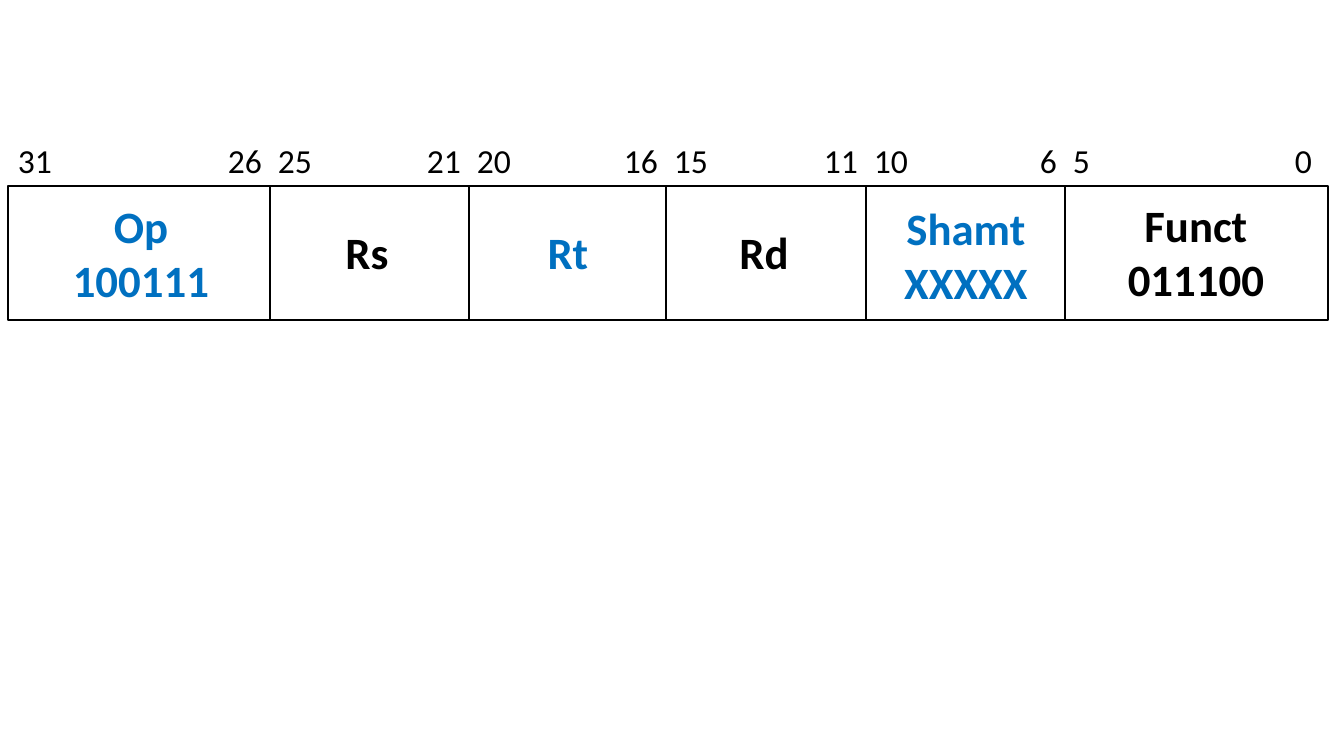
from pptx import Presentation
from pptx.dml.color import RGBColor
from pptx.enum.shapes import MSO_SHAPE as SHAPE
from pptx.enum.text import MSO_AUTO_SIZE as FIT, PP_ALIGN as ALIGN
from pptx.util import Emu, Pt
from lxml.etree import SubElement
from pptx.oxml.ns import qn

COLORS = {"black": "000000", "blue": "0070C0"}
PX = 914400 / 100.8
INSET, GAP = 10, 8
TOP, HEIGHT = 186, 134
EDGES = [8, 270, 469, 666, 866, 1065, 1328]
BITS = [(31, 26), (25, 21), (20, 16), (15, 11), (10, 6), (5, 0)]
FIELDS = [
    (["Op", "100111"], "blue", (56, 194, 170, 119)),
    (["Rs"], "black", (327, 220, 80, 64)),
    (["Rt"], "blue", (528, 220, 80, 64)),
    (["Rd"], "black", (724, 220, 80, 64)),
    (["Shamt", "XXXXX"], "blue", (871, 196, 190, 119)),
    (["Funct", "011100"], "black", (1111, 193, 170, 119)),
]


def px(n):
    """Turn pixels into EMU."""
    return Emu(round(n * PX))


def write(tf, lines, size=32, color="black", bold=False, align=ALIGN.LEFT):
    """Write each line as a formatted paragraph."""
    for i, line in enumerate(lines):
        p = tf.add_paragraph() if i else tf.paragraphs[0]
        p.alignment = align
        r = p.add_run()
        r.text = line
        r.font.name = "Calibri"
        r.font.size = Pt(size)
        r.font.bold = bold
        r.font.color.rgb = RGBColor.from_string(COLORS[color])


class Canvas:
    """Hold the current slide and its drawing style."""

    def __init__(self, prs):
        """Add a blank slide."""
        self.s = prs.slides.add_slide(prs.slide_layouts[6])

    def cell(self, x, y, w, h):
        """Draw an outlined field box."""
        sp = self.s.shapes.add_shape(SHAPE.RECTANGLE, *map(px, (x, y, w, h)))
        sp.shadow.inherit = False
        sp.fill.background()
        sp.line.color.rgb = RGBColor.from_string(COLORS["black"])
        sp.line.width = Pt(1)

    def text(self, box, lines, **fmt):
        """Add a text box and return its frame."""
        tf = self.s.shapes.add_textbox(*map(px, box)).text_frame
        tf.word_wrap = True
        tf.auto_size = FIT.SHAPE_TO_FIT_TEXT
        write(tf, lines, **fmt)
        return tf

    def tabbed(self, box, items, stops, **fmt):
        """Add one line of items set at tab stops."""
        tf = self.text(box, ["\t".join(items)], **fmt)
        tabs = SubElement(tf.paragraphs[0]._p.get_or_add_pPr(), qn("a:tabLst"))
        for x, side in stops:
            SubElement(tabs, qn("a:tab"), pos=str(px(x - box[0] - INSET)), algn=side)


def main():
    """Build the instruction format slide."""
    prs = Presentation()
    prs.slide_width, prs.slide_height = px(1344), px(756)
    canvas = Canvas(prs)
    for left, right in zip(EDGES, EDGES[1:]):
        canvas.cell(left, TOP, right - left, HEIGHT)
    for lines, color, box in FIELDS:
        canvas.text(box, lines, color=color, bold=True, align=ALIGN.CENTER)
    stops = [(x + d, side) for x in EDGES[1:-1] for d, side in ((-GAP, "r"), (GAP, "l"))]
    stops.append((EDGES[-1] - 2 * GAP, "r"))
    labels = [str(bit) for pair in BITS for bit in pair]
    canvas.tabbed((8, 135, 1317, 50), labels, stops, size=24)
    prs.save("out.pptx")


main()
